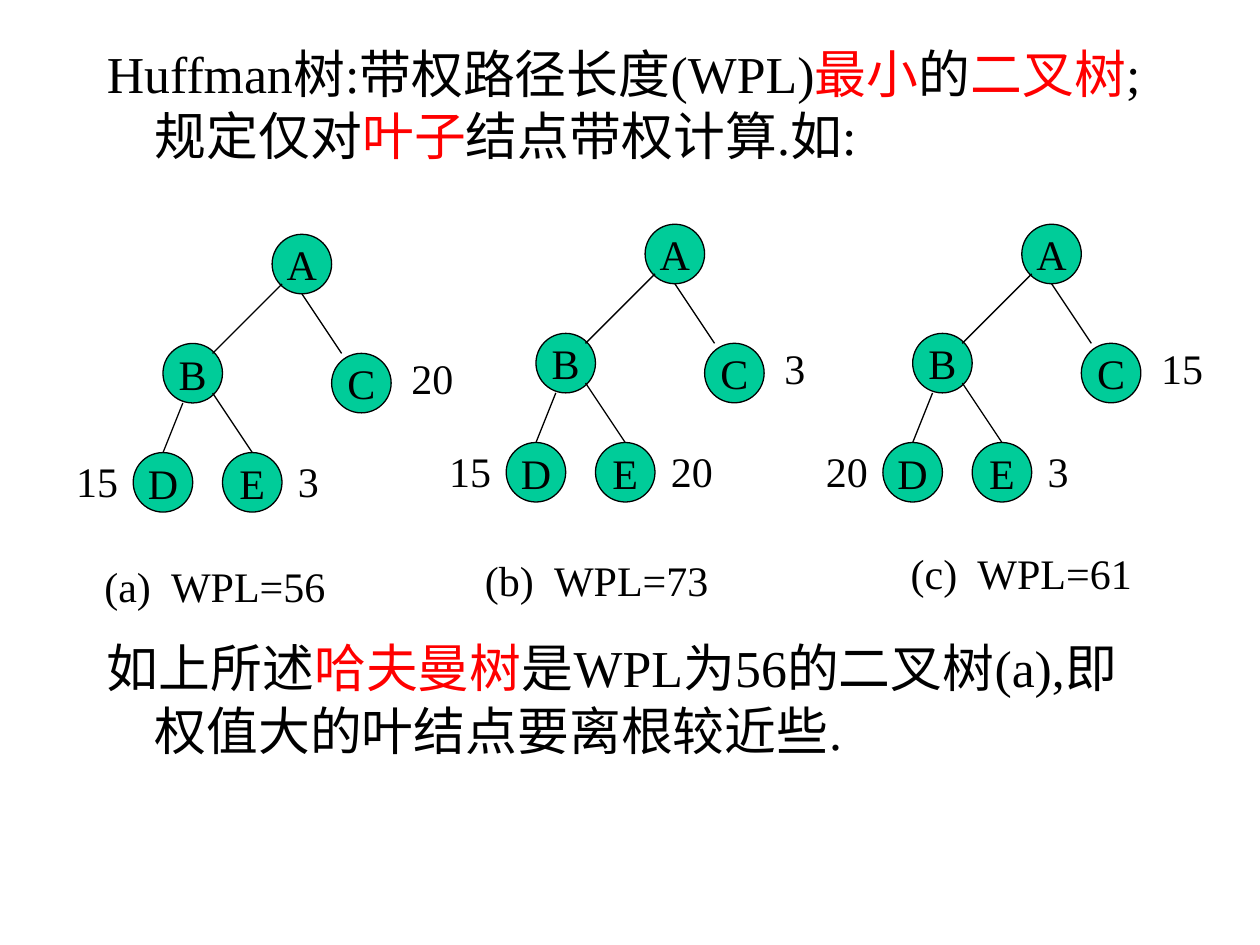
from dataclasses import dataclass

from lxml.etree import SubElement
from pptx import Presentation
from pptx.dml.color import RGBColor
from pptx.enum.shapes import MSO_CONNECTOR, MSO_SHAPE
from pptx.enum.text import MSO_ANCHOR, MSO_AUTO_SIZE, PP_ALIGN
from pptx.oxml.ns import qn
from pptx.util import Cm, Inches, Pt

BLACK = RGBColor(0x00, 0x00, 0x00)
RED = RGBColor(0xFF, 0x00, 0x00)
GREEN = RGBColor(0x00, 0xCC, 0x99)
FONT = "Times New Roman"

# Trees lie on a grid of 2 mm cells, counted from the top left of the root.
CELL = Cm(0.2)
NODE = 6
NODES = {"A": (0, 0), "B": (-11, 11), "C": (6, 12), "D": (-14, 22), "E": (-5, 22)}
EDGES = [
    ((1, 5), (-6, 12)),
    ((-9, 17), (-11, 22)),
    ((-6, 16), (-2, 22)),
    ((3, 6), (7, 12)),
]
WEIGHTS = {"C": (12.8, 11.25), "D": (-21, 21.65), "E": (1.35, 21.65)}
CAPTION_WIDTH = 2.0


@dataclass
class Tree:
    left: float
    top: float
    weights: dict[str, str]
    caption: str
    caption_at: tuple[float, float]

    def at(self, col: float, row: float) -> tuple[int, int]:
        """Slide position of a grid point of this tree."""
        return int(Inches(self.left) + col * CELL), int(Inches(self.top) + row * CELL)


TREES = [
    Tree(2.16, 1.86, {"C": "20", "D": "15", "E": "3"}, "(a)  WPL=56", (0.73, 4.4)),
    Tree(5.12, 1.78, {"C": "3", "D": "15", "E": "20"}, "(b)  WPL=73", (3.75, 4.35)),
    Tree(8.11, 1.78, {"C": "15", "D": "20", "E": "3"}, "(c)  WPL=61", (7.13, 4.3)),
]

# Each statement: its top in inches and its runs with their colours.
STATEMENTS = [
    (0.28, [
        ("Huffman树:带权路径长度(WPL)", BLACK), ("最小", RED), ("的", BLACK),
        ("二叉树", RED), (";规定仅对", BLACK), ("叶子", RED), ("结点带权计算.如:", BLACK),
    ]),
    (5.0, [
        ("如上所述", BLACK), ("哈夫曼树", RED),
        ("是WPL为56的二叉树(a),即权值大的叶结点要离根较近些.", BLACK),
    ]),
]


def set_font(p, size: float) -> None:
    p.font.name = FONT
    p.font.size = Pt(size)
    p.font.color.rgb = BLACK


def add_statement(s, top: float, runs: list[tuple[str, RGBColor]]) -> None:
    """Wrapped text with a hanging indent."""
    tf = s.shapes.add_textbox(Inches(0.75), Inches(top), Inches(8.5), Inches(1.2)).text_frame
    tf.word_wrap = True
    p = tf.paragraphs[0]
    pPr = p._p.get_or_add_pPr()
    pPr.set("marL", str(Inches(0.38)))
    pPr.set("indent", str(-Inches(0.38)))
    set_font(p, 29.6)
    for text, color in runs:
        r = p.add_run()
        r.text = text
        r.font.name = FONT
        r.font.size = Pt(29.6)
        r.font.color.rgb = color


def add_label(s, position: tuple[int, int], width: float, text: str) -> None:
    """One line of text; the right inset is dropped so that it never wraps."""
    tf = s.shapes.add_textbox(*position, Inches(width), Inches(0.5)).text_frame
    tf.word_wrap = True
    tf.margin_right = 0
    tf.auto_size = MSO_AUTO_SIZE.SHAPE_TO_FIT_TEXT
    p = tf.paragraphs[0]
    p.text = text
    set_font(p, 24)


def add_node(s, position: tuple[int, int], name: str) -> None:
    sp = s.shapes.add_shape(MSO_SHAPE.OVAL, *position, NODE * CELL, NODE * CELL)
    sp.shadow.inherit = False
    sp.fill.solid()
    sp.fill.fore_color.rgb = GREEN
    sp.line.color.rgb = BLACK
    sp.line.width = Pt(0.75)
    tf = sp.text_frame
    tf.word_wrap = False
    tf.vertical_anchor = MSO_ANCHOR.MIDDLE
    p = tf.paragraphs[0]
    p.text = name
    p.alignment = PP_ALIGN.CENTER
    set_font(p, 24)


def add_edge(s, start: tuple[int, int], end: tuple[int, int]) -> None:
    line = s.shapes.add_connector(MSO_CONNECTOR.STRAIGHT, *start, *end)
    line.line.color.rgb = BLACK
    line.line.width = Pt(0.75)
    SubElement(line._element.spPr, qn("a:effectLst"))


def add_tree(s, tree: Tree) -> None:
    for name, cell in NODES.items():
        add_node(s, tree.at(*cell), name)
    for start, end in EDGES:
        add_edge(s, tree.at(*start), tree.at(*end))
    for name, weight in tree.weights.items():
        width = 0.2 + 0.17 * len(weight)
        add_label(s, tree.at(*WEIGHTS[name]), width, weight)
    left, top = tree.caption_at
    add_label(s, (Inches(left), Inches(top)), CAPTION_WIDTH, tree.caption)


def main() -> None:
    prs = Presentation()
    prs.slide_width, prs.slide_height = Inches(10), Inches(7.5)
    s = prs.slides.add_slide(prs.slide_layouts[6])
    for top, runs in STATEMENTS:
        add_statement(s, top, runs)
    for tree in TREES:
        add_tree(s, tree)
    prs.save("out.pptx")


if __name__ == "__main__":
    main()
